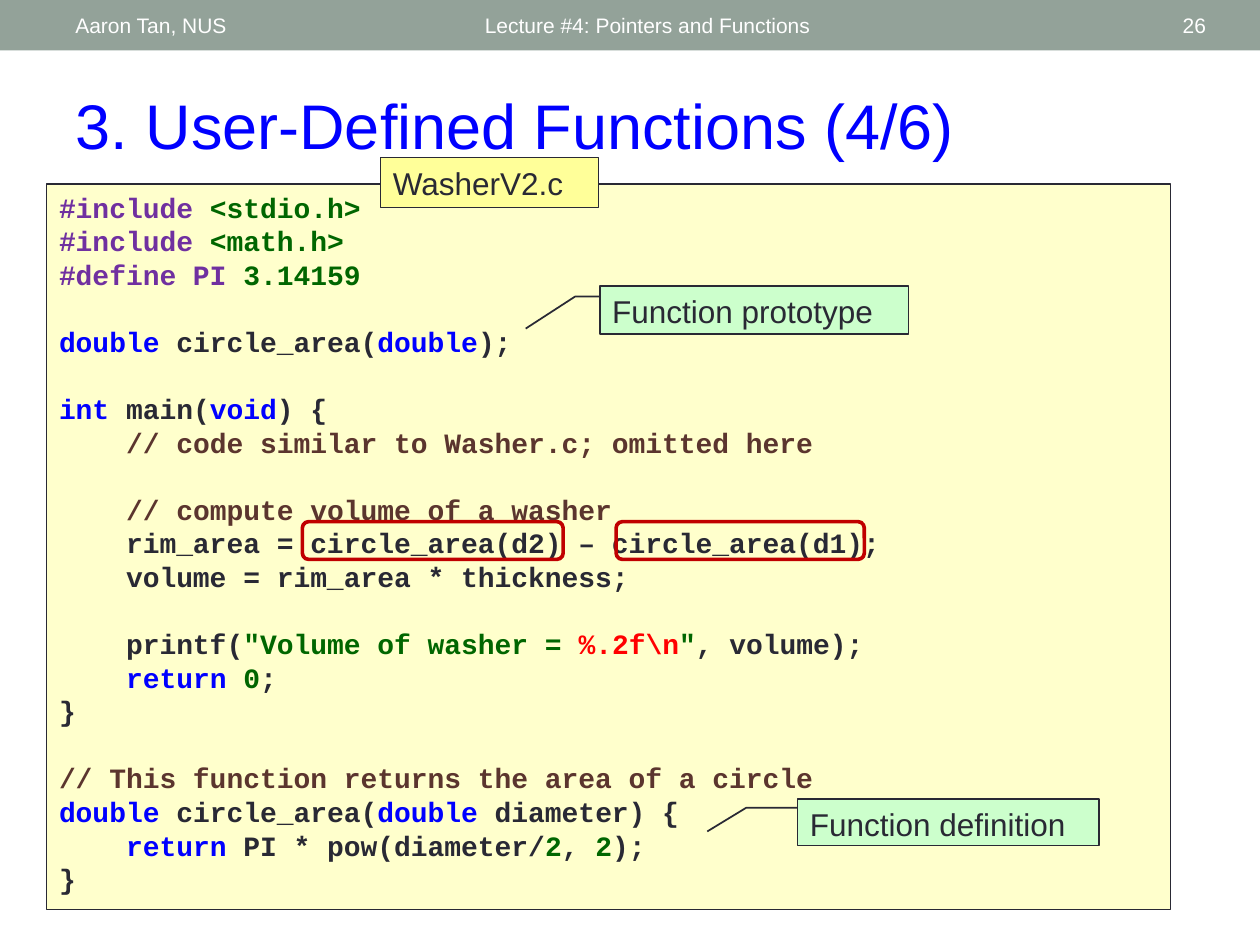
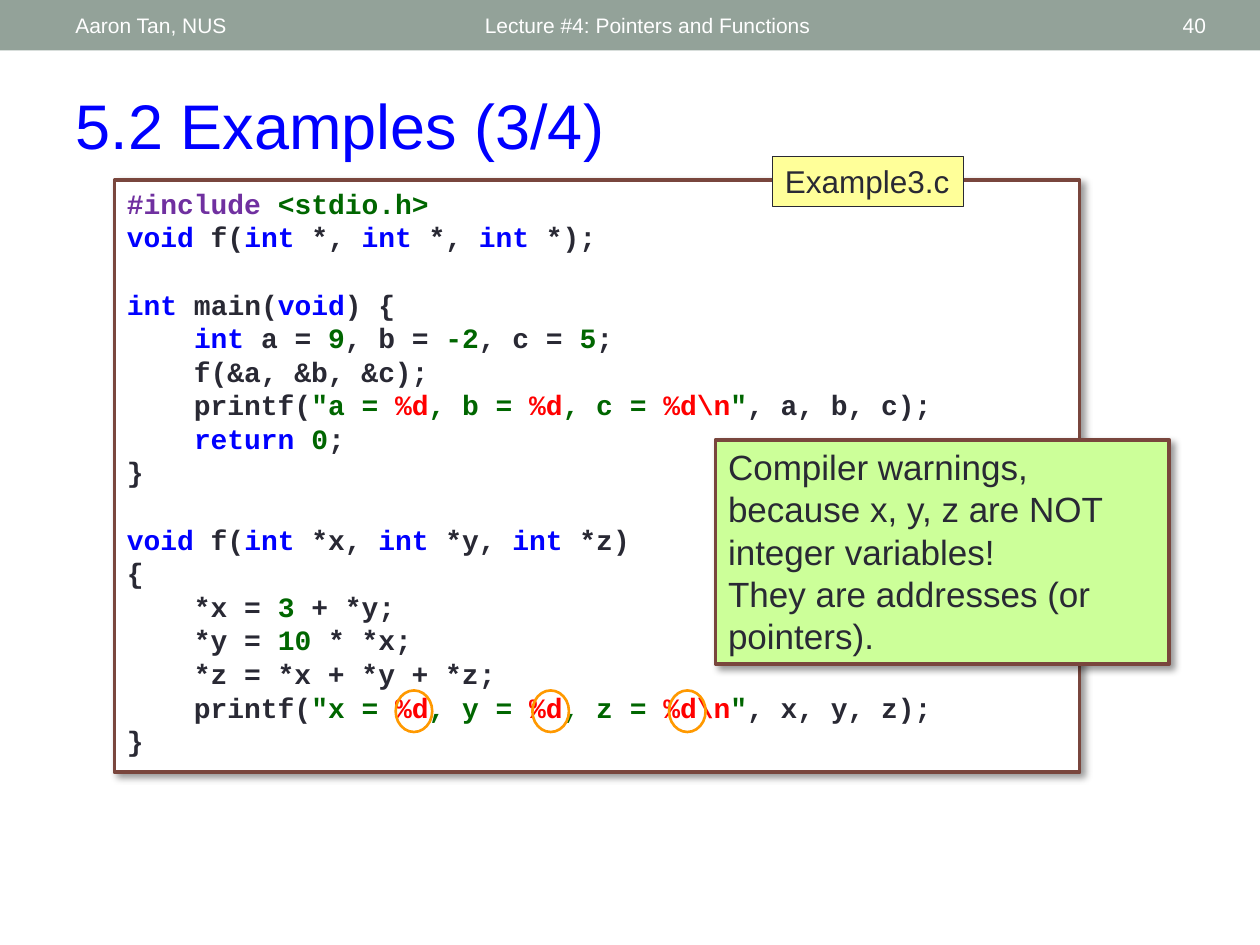
import lxml.etree
import pptx
import pptx.dml.color
import pptx.enum.shapes
import pptx.enum.text
import pptx.oxml.ns
import pptx.util

SHAPE = pptx.enum.shapes.MSO_SHAPE
ANCHOR = pptx.enum.text.MSO_ANCHOR
ALIGN = pptx.enum.text.PP_ALIGN

WASHER_CODE = r"""|P|#include |S|<stdio.h>
|P|#include |S|<math.h>
|P|#define PI |S|3.14159

|K|double |T|circle_area(|K|double|T|);

|K|int|T| main(|K|void|T|) {
    |C|// code similar to Washer.c; omitted here

    |C|// compute volume of a washer
    rim_area = circle_area(d2) – circle_area(d1);
    volume = rim_area * thickness;

    printf(|S|"Volume of washer = |F|%.2f\n|S|"|T|, volume);
    |K|return |S|0|T|;
}

|C|// This function returns the area of a circle
|K|double |T|circle_area(|K|double|T| diameter) {
    |K|return|T| PI * pow(diameter/|S|2|T|, |S|2|T|);
}"""

EXAMPLE_CODE = r"""|P|#include |S|<stdio.h>
|K|void|T| f(|K|int|T| *, |K|int|T| *, |K|int|T| *);

|K|int|T| main(|K|void|T|) {
    |K|int|T| a = |S|9|T|, b = |S|-2|T|, c = |S|5|T|;
    f(&a, &b, &c);
    printf(|S|"a = |F|%d|S|, b = |F|%d|S|, c = |F|%d\n|S|"|T|, a, b, c);
    |K|return |S|0|T|;
}

|K|void|T| f(|K|int|T| *x, |K|int|T| *y, |K|int|T| *z)
{
    *x = |S|3|T| + *y;
    *y = |S|10|T| * *x;
    *z = *x + *y + *z;
    printf(|S|"x = |F|%d|S|, y = |F|%d|S|, z = |F|%d\n|S|"|T|, x, y, z);
}"""


def rgb(value):
    return pptx.dml.color.RGBColor.from_string(value)


class LectureDeck:
    """Lecture slides laid out on a grid of 100 columns by 75 rows."""

    INK, WHITE, BAND, TITLE = "292934", "FFFFFF", "93A299", "0000FF"
    TAG, CALLOUT, FRAME = "FFFF99", "CCFFCC", "79463D"
    SYNTAX = {"T": INK, "K": "0000FF", "P": "7030A0", "S": "006600",
              "C": "5B352E", "F": "FF0000"}
    SANS, MONO = "Arial", "Courier New"
    LEADING = 1.2

    def __init__(self):
        self.deck = pptx.Presentation()
        self.deck.slide_width = pptx.util.Inches(10)
        self.deck.slide_height = pptx.util.Inches(7.5)
        self.cell = self.deck.slide_width / 100
        self.slide = None

    def grid(self, *cells):
        return [round(count * self.cell) for count in cells]

    def fill_text(self, frame, text, size, font=SANS, color=INK, bold=False,
                  anchor=ANCHOR.TOP, align=ALIGN.LEFT, wrap=True):
        frame.word_wrap = wrap
        frame.auto_size = pptx.enum.text.MSO_AUTO_SIZE.NONE
        frame.vertical_anchor = anchor
        leading = pptx.util.Pt(size * self.LEADING)
        paragraph, gap = None, 0
        for line in text.splitlines():
            if not line:
                gap = leading
                continue
            paragraph = frame.add_paragraph() if paragraph else frame.paragraphs[0]
            paragraph.alignment = align
            paragraph.line_spacing = leading
            paragraph.space_before, gap = gap, 0
            plain, *marked = line.split("|")
            pieces = [("", plain), *zip(marked[::2], marked[1::2])]
            for key, words in pieces:
                if words:
                    run = paragraph.add_run()
                    run.text = words
                    run.font.name = font
                    run.font.size = pptx.util.Pt(size)
                    run.font.bold = bold
                    run.font.color.rgb = rgb(self.SYNTAX.get(key, color))

    def shape(self, kind, at, fill=None, line=None, weight=0.75, shadow=False):
        shape = self.slide.shapes.add_shape(kind, *self.grid(*at))
        if fill:
            shape.fill.solid()
            shape.fill.fore_color.rgb = rgb(fill)
        else:
            shape.fill.background()
        if line:
            shape.line.color.rgb = rgb(line)
            shape.line.width = pptx.util.Pt(weight)
        else:
            shape.line.fill.background()
        shape.shadow.inherit = False
        if shadow:
            self.cast_shadow(shape)
        return shape

    def cast_shadow(self, shape):
        qn = pptx.oxml.ns.qn
        effects = shape._element.spPr.find(qn("a:effectLst"))
        outer = lxml.etree.SubElement(
            effects, qn("a:outerShdw"), blurRad=str(pptx.util.Pt(4)),
            dist=str(pptx.util.Pt(3)), dir=str(45 * 60000), algn="tl", rotWithShape="0")
        tint = lxml.etree.SubElement(outer, qn("a:srgbClr"), val="000000")
        lxml.etree.SubElement(tint, qn("a:alpha"), val="40000")

    def header(self, text, left, width, align=ALIGN.LEFT):
        label = self.slide.shapes.add_textbox(*self.grid(left, 0.2, width, 3.6))
        self.fill_text(label.text_frame, text, 12, color=self.WHITE,
                       anchor=ANCHOR.MIDDLE, align=align)

    def start(self, title, number):
        self.slide = self.deck.slides.add_slide(self.deck.slide_layouts[5])
        heading = self.slide.shapes.title
        heading.left, heading.top, heading.width, heading.height = self.grid(5, 6.4, 90, 7.1)
        self.fill_text(heading.text_frame, title, 36, color=self.TITLE)
        self.shape(SHAPE.RECTANGLE, (0, 0, 100, 4), self.BAND)
        self.header("Aaron Tan, NUS", 5, 31.7)
        self.header("Lecture #4: Pointers and Functions", 37.5, 45)
        self.header(str(number), 87.2, 9.5, ALIGN.RIGHT)

    def code(self, at, text, **style):
        listing = self.shape(SHAPE.RECTANGLE, at, **style)
        self.fill_text(listing.text_frame, text, 16, self.MONO, bold=True)

    def tag(self, at, text):
        label = self.shape(SHAPE.RECTANGLE, at, self.TAG, self.INK)
        self.fill_text(label.text_frame, text, 18)

    def callout(self, at, text, pointer):
        callout = self.shape(SHAPE.LINE_CALLOUT_2, at, self.CALLOUT, self.INK, 1)
        for index, share in enumerate(pointer):
            callout.adjustments[index] = share
        self.fill_text(callout.text_frame, text, 18)

    def note(self, at, text):
        note = self.shape(SHAPE.RECTANGLE, at, "CCFF99", self.FRAME, 2.08, True)
        self.fill_text(note.text_frame, text, 20)


def functions_slide(deck):
    deck.start("3. User-Defined Functions (4/6)", 26)
    deck.code((3.7, 14.6, 89.2, 57.6), WASHER_CODE, fill="FFFFCC", line=deck.INK)
    deck.tag((30.2, 12.5, 17.3, 4), "WasherV2.c")
    for left, width in ((24, 20.7), (48.9, 19.7)):
        deck.shape(SHAPE.ROUNDED_RECTANGLE, (left, 41.4, width, 3), line="C00000", weight=2.08)
    deck.callout((47.6, 22.7, 24.5, 3.8), "Function prototype",
                 (0.22, 0, 0.22, -0.08, 0.89, -0.24))
    deck.callout((63.3, 63.4, 23.9, 3.7), "Function definition",
                 (0.19, 0, 0.19, -0.17, 0.7, -0.3))


def examples_slide(deck):
    deck.start("5.2 Examples (3/4)", 40)
    deck.code((9.1, 14.3, 76.6, 47), EXAMPLE_CODE, fill=deck.WHITE,
              line=deck.FRAME, weight=2.08, shadow=True)
    deck.tag((61.3, 12.4, 15.2, 4), "Example3.c")
    deck.note((56.8, 34.9, 36, 17.8),
              "Compiler warnings, because x, y, z are NOT integer variables!\n"
              "They are addresses (or pointers).")
    for specifier in range(3):
        deck.shape(SHAPE.OVAL, (31.4 + 10.85 * specifier, 54.8, 2.9, 3.3),
                   line="FF9900", weight=1.5)


def main():
    lecture = LectureDeck()
    functions_slide(lecture)
    examples_slide(lecture)
    lecture.deck.save("out.pptx")


if __name__ == "__main__":
    main()
